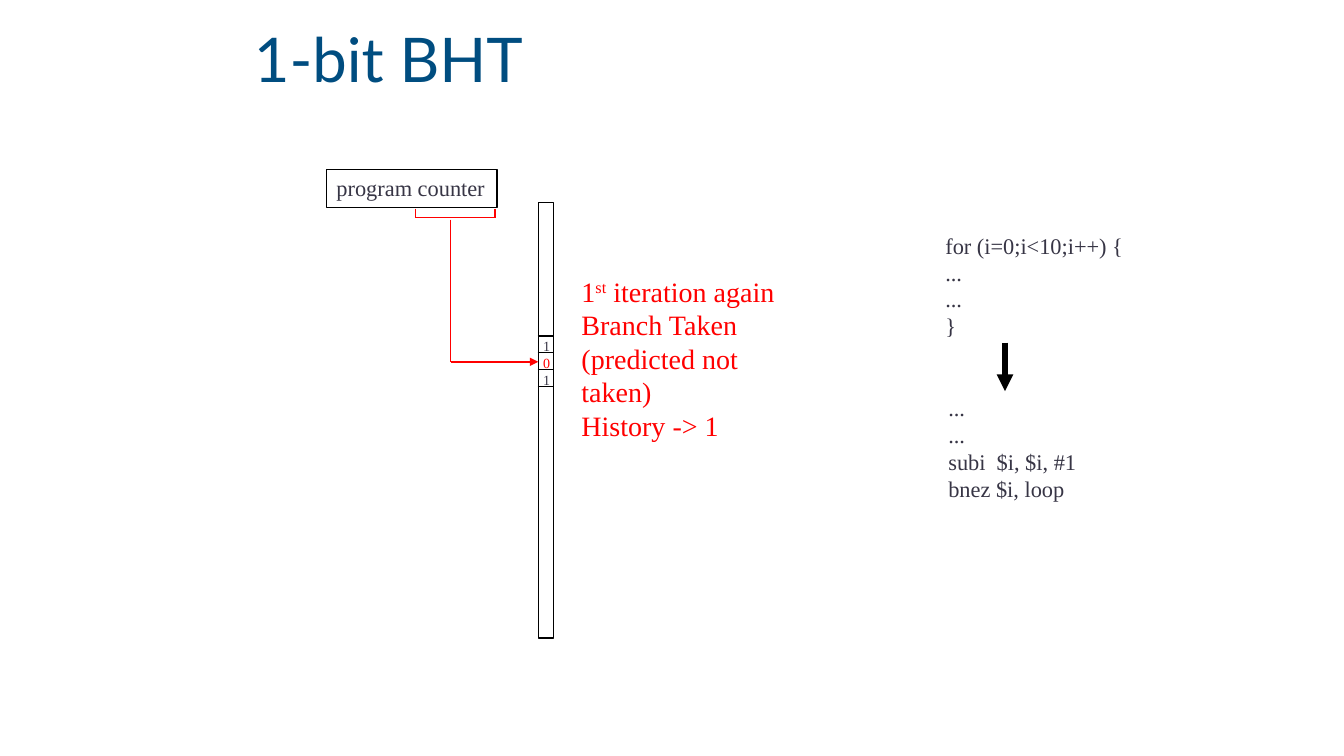
from lxml import etree
from pptx import Presentation
from pptx import util as u
from pptx.dml import color
from pptx.enum import shapes, text
from pptx.oxml import ns

COLORS = {"title": "004D80", "ink": "373545", "black": "000000", "red": "FF0000"}

prs = Presentation()
prs.slide_width, prs.slide_height = u.Inches(13.33), u.Inches(7.5)
s = prs.slides.add_slide(prs.slide_layouts[6])
COL, ROW = prs.slide_width / 80, prs.slide_height / 45


def write(sp, lines, size=16, name="ink", font="Times New Roman", wrap=False,
          anchor=text.MSO_ANCHOR.TOP, spacing=1.0):
    tf = sp.text_frame
    tf.word_wrap = wrap
    tf.vertical_anchor = anchor
    for i, line in enumerate(lines):
        p = tf.add_paragraph() if i else tf.paragraphs[0]
        p.alignment = text.PP_ALIGN.LEFT
        p.line_spacing = spacing
        for j, part in enumerate(line.split("^")):
            r = p.add_run()
            r.text = part
            r.font.size, r.font.name = u.Pt(size), font
            r.font.color.rgb = color.RGBColor.from_string(COLORS[name])
            if j == 1:
                r._r.get_or_add_rPr().set("baseline", "30000")


def grid(*cells):
    return [round(c * (ROW if i % 2 else COL)) for i, c in enumerate(cells)]


title = s.shapes.add_textbox(*grid(14.52, 0, 51, 7.5))
write(title, ["1-bit BHT"], size=44, name="title", font="Lato", wrap=True,
      anchor=text.MSO_ANCHOR.MIDDLE, spacing=0.9)

boxes = []
for cells in [(32.04, 12.06, 0.9, 25.92), (19.44, 10.08, 10.14, 2.28)]:
    sp = s.shapes.add_shape(shapes.MSO_SHAPE.RECTANGLE, *grid(*cells))
    sp.shadow.inherit = False
    sp.fill.background()
    sp.line.color.rgb = color.RGBColor.from_string(COLORS["black"])
    sp.line.width = u.Pt(1)
    boxes.append(sp)
history, counter = boxes
write(counter, ["program counter"])

for i, (bit, name) in enumerate([("1", "ink"), ("0", "red"), ("1", "ink")]):
    write(s.shapes.add_textbox(*grid(31.74, 19.8 + i, 1.62, 1.62)), [bit], size=10, name=name)

dividers = [(32, row, 33, row, "black", 1, False) for row in range(20, 24)]
index_bits = [
    (24.72, 12.42, 24.72, 12.96, "red", 1, False),
    (29.46, 12.42, 29.46, 12.96, "red", 1, False),
    (24.72, 12.96, 29.46, 12.96, "red", 1, False),
    (26.82, 13.08, 26.82, 21.54, "red", 1, False),
    (26.82, 21.54, 32.04, 21.54, "red", 1, True),
]
compile_arrow = [(59.82, 20.4, 59.82, 23.28, "black", 4, True)]
for *ends, name, width, arrow in dividers + index_bits + compile_arrow:
    c = s.shapes.add_connector(shapes.MSO_CONNECTOR.STRAIGHT, *grid(*ends))
    c.line.color.rgb = color.RGBColor.from_string(COLORS[name])
    c.line.width = u.Pt(width)
    if arrow:
        etree.SubElement(c.line._get_or_add_ln(), ns.qn("a:tailEnd"), type="triangle")
    etree.SubElement(c._element.spPr, ns.qn("a:effectLst"))

write(s.shapes.add_textbox(*grid(34.02, 16.02, 13.8, 10.5)),
      ["1^st^ iteration again", "Branch Taken", "(predicted not taken)", "History -> 1"],
      size=20, name="red", wrap=True)
write(s.shapes.add_textbox(*grid(55.68, 13.5, 11.94, 7.08)),
      ["for (i=0;i<10;i++) {", "...", "...", "}"])
write(s.shapes.add_textbox(*grid(55.86, 23.16, 8.94, 7.08)),
      ["...", "...", "subi  $i, $i, #1", "bnez $i, loop"])

prs.save("out.pptx")
